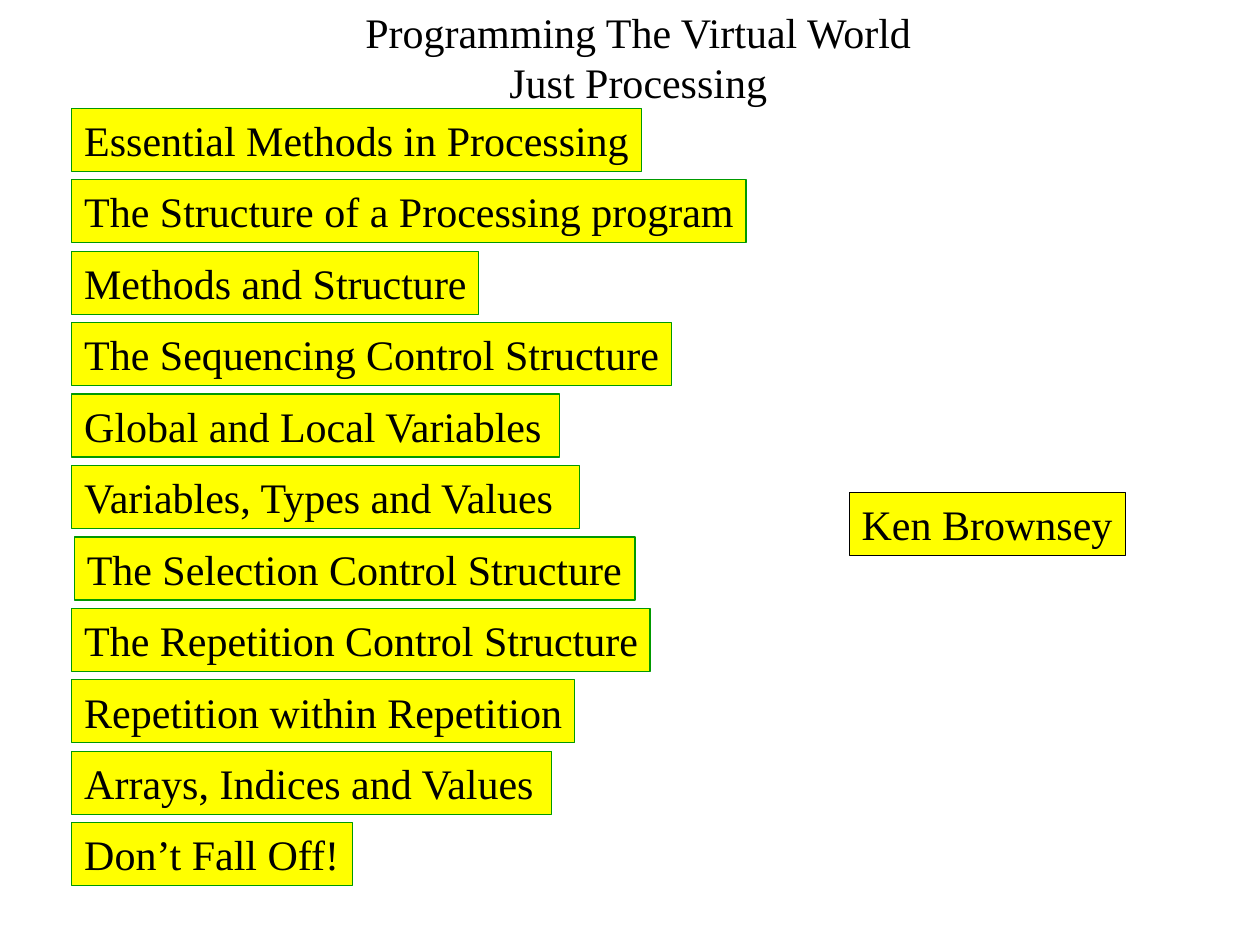
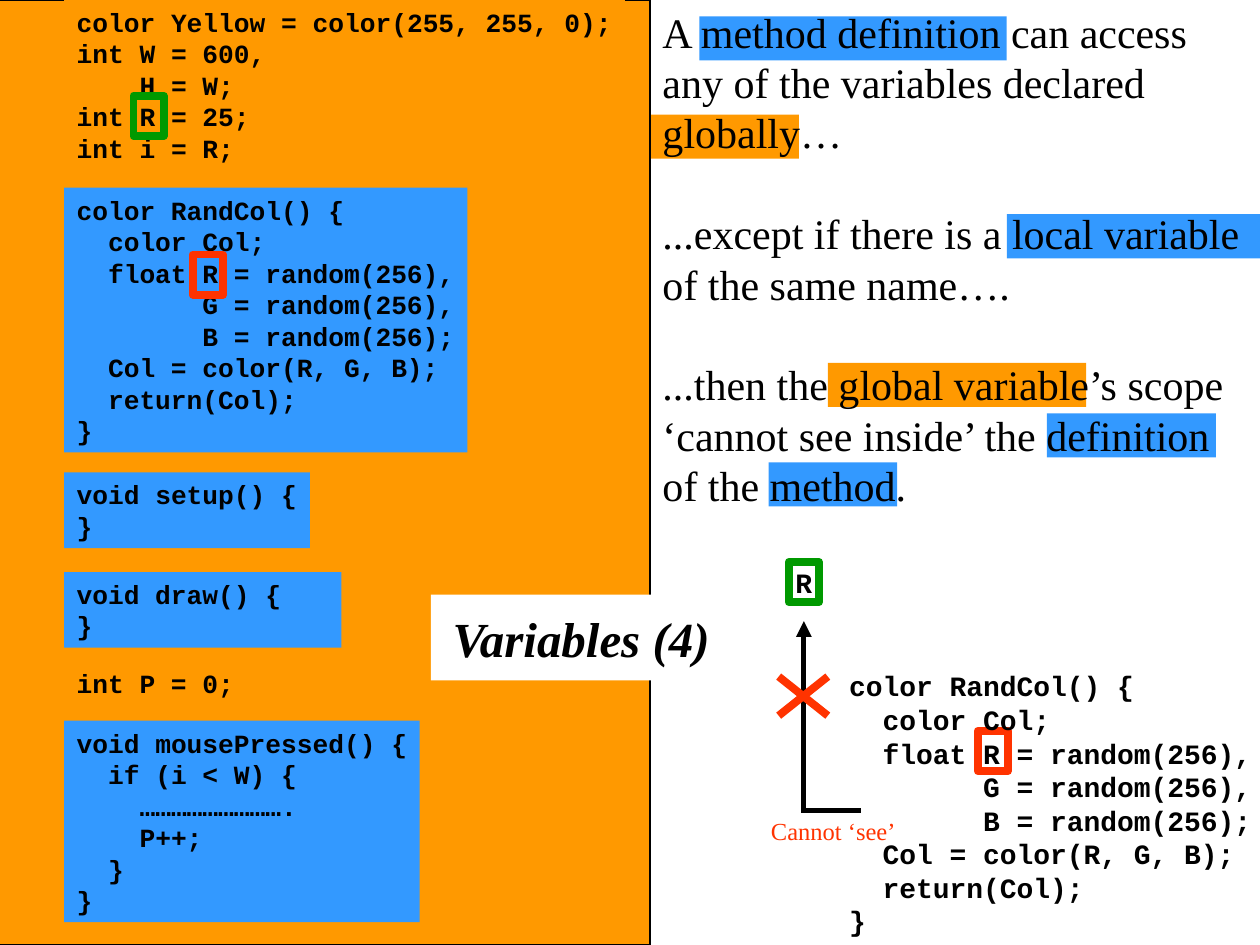
from lxml.etree import SubElement
from pptx import Presentation
from pptx.dml.color import RGBColor
from pptx.enum.shapes import MSO_CONNECTOR, MSO_SHAPE
from pptx.enum.text import MSO_ANCHOR, PP_ALIGN
from pptx.oxml.ns import qn
from pptx.util import Inches, Pt

INK = {"black": "000000", "white": "FFFFFF", "yellow": "FFFF00",
       "green": "009900", "red": "FF3300", "blue": "3399FF",
       "orange": "FF9900"}
SERIF, MONO = "Times New Roman", "Courier New"
PITCH = 1.2  # line pitch as a multiple of the font size

TOPICS = [
    ("Essential Methods in Processing", 4.52),
    ("The Structure of a Processing program", 5.35),
    ("Methods and Structure", 3.23),
    ("The Sequencing Control Structure", 4.76),
    ("Global and Local Variables", 3.87),
    ("Variables, Types and Values", 4.03),
    ("The Selection Control Structure", 4.45),
    ("The Repetition Control Structure", 4.59),
    ("Repetition within Repetition", 3.99),
    ("Arrays, Indices and Values", 3.81),
    ("Don’t Fall Off!", 2.23),
]

GLOBALS = """color Yellow = color(255, 255, 0);
int W = 600,
    H = W;
int R = 25;
int i = R;"""
RAND = """color RandCol() {
  color Col;
  float R = random(256),
        G = random(256),
        B = random(256);
  Col = color(R, G, B);
  return(Col);
}"""
SETUP = "void setup() {\n}"
DRAW = "void draw() {\n}"
MOUSE = """void mousePressed() {
  if (i < W) {
    ……………………….
    P++;
  }
}"""
NOTES = """A method definition can access any of the variables declared globally…
...except if there is a local variable of the same name….
...then the global variable’s scope ‘cannot see inside’ the definition of the method."""


def color(name):
    return RGBColor.from_string(INK[name])


def rect(slide, x, y, w, h, fill=None, line=None, width=0.75):
    box = slide.shapes.add_shape(MSO_SHAPE.RECTANGLE, Inches(x), Inches(y),
                                 Inches(w), Inches(h))
    box.shadow.inherit = False
    if fill:
        box.fill.solid()
        box.fill.fore_color.rgb = color(fill)
    else:
        box.fill.background()
    if line:
        box.line.color.rgb = color(line)
        box.line.width = Pt(width)
    else:
        box.line.fill.background()
    return box


def label(slide, x, y, w, h):
    return slide.shapes.add_textbox(Inches(x), Inches(y), Inches(w), Inches(h))


def write(box, text, size=24, font=SERIF, ink="black", bold=False,
          slant=False, align=PP_ALIGN.LEFT, mid=False, pad=0, gap=0):
    frame = box.text_frame
    frame.word_wrap = True
    frame.vertical_anchor = MSO_ANCHOR.MIDDLE if mid else MSO_ANCHOR.TOP
    frame.margin_left = Inches(0 if align == PP_ALIGN.CENTER else 0.1)
    frame.margin_right = Inches(pad)
    frame.margin_top = frame.margin_bottom = Inches(0.05)
    frame.text = text
    for i, para in enumerate(frame.paragraphs):
        para.alignment = align
        para.line_spacing = Pt(size * PITCH)
        if i and gap:
            para.space_before = Pt(gap)
        para.font.name, para.font.size = font, Pt(size)
        para.font.bold, para.font.italic = bold, slant
        para.font.color.rgb = color(ink)


def code(box, text, size=15, **more):
    write(box, text, size, MONO, bold=True, **more)


def rule(slide, x1, y1, x2, y2, ink="black", width=3, arrow=False):
    line = slide.shapes.add_connector(MSO_CONNECTOR.STRAIGHT, Inches(x1),
                                      Inches(y1), Inches(x2), Inches(y2))
    line.line.color.rgb = color(ink)
    line.line.width = Pt(width)
    if arrow:
        SubElement(line.line._get_or_add_ln(), qn("a:tailEnd"), type="triangle")
    SubElement(line._element.spPr, qn("a:effectLst"))


def frame_r(slide, x, y, ink):
    return rect(slide, x, y, 0.24, 0.32, line=ink, width=4.5)


def topics(slide, x, y, h):
    step = h / (len(TOPICS) - 1)
    for i, (text, w) in enumerate(TOPICS):
        shift = 0.02 if i == 6 else 0
        write(rect(slide, x + shift, y + i * step, w, 0.5, "yellow", "green"), text)


def listing(slide, x, y, w, h):
    # Global scope
    rect(slide, x, y, w, h, "orange", "black")
    left = x + 0.55
    code(rect(slide, left, y, 4.45, 7.35, "orange"), GLOBALS)
    code(label(slide, left, y + 5.25, 1.5, 0.35), "int P = 0;")
    # Method scopes
    for text, top, wide in [(RAND, 1.49, 3.2), (SETUP, 3.75, 1.95),
                            (DRAW, 4.54, 2.2), (MOUSE, 5.72, 2.82)]:
        high = 0.1 + 0.25 * len(text.split("\n"))
        code(rect(slide, left, y + top, wide, high, "blue"), text)
    # The two variables called R
    frame_r(slide, x + 1.1, y + 0.76, "green")
    frame_r(slide, x + 1.57, y + 2.02, "red")


def notes(slide, x, y, w, h):
    # Marks behind the key words
    for left, top, wide, fill in [
            (0.39, 0.13, 2.44, "blue"), (0, 0.91, 1.18, "orange"),
            (2.83, 1.7, 2.01, "blue"), (1.41, 2.88, 2.05, "orange"),
            (3.15, 3.28, 1.34, "blue"), (0.94, 3.67, 1.02, "blue")]:
        rect(slide, x + left, y + top, wide, 0.35, fill)
    write(label(slide, x, y, w, h), NOTES, pad=0.1, gap=24 * PITCH)


def sketch(slide, x, y):
    # Global R, and the method that hides it
    code(frame_r(slide, x + 0.24, y, "green"), "R", 16,
         align=PP_ALIGN.CENTER, mid=True)
    frame_r(slide, x + 1.74, y + 1.34, "red")
    code(label(slide, x + 0.62, y + 0.8, 3.39, 2.24), RAND, 16)
    # Blocked arrow
    rule(slide, x + 0.34, y + 1.97, x + 0.81, y + 1.97)
    rule(slide, x + 0.36, y + 1.97, x + 0.36, y + 0.47, arrow=True)
    for start, end in [(0.16, 0.55), (0.55, 0.16)]:
        rule(slide, x + start, y + 0.91, x + end, y + 1.22, "red", 4.5)
    write(label(slide, x, y + 1.97, 1.19, 0.34), "Cannot ‘see’", 14, ink="red")


def cover(slide):
    write(label(slide, 2.77, 0, 4.59, 0.9),
          "Programming The Virtual World\nJust Processing", align=PP_ALIGN.CENTER)
    topics(slide, 0.57, 0.86, 5.67)
    write(rect(slide, 6.74, 3.91, 2.19, 0.5, "yellow", "black"), "Ken Brownsey")


def scopes(slide):
    notes(slide, 5.16, 0, 4.84, 4.1)
    listing(slide, -0.04, 0, 5.2, 7.5)
    sketch(slide, 6.02, 4.46)
    # Title tag
    write(rect(slide, 3.42, 4.72, 2.31, 0.68, "white"), "Variables (4)", 28,
          bold=True, slant=True, align=PP_ALIGN.RIGHT, mid=True, pad=0.1)


def main():
    deck = Presentation()
    deck.slide_width, deck.slide_height = Inches(10), Inches(7.5)
    for build in (cover, scopes):
        build(deck.slides.add_slide(deck.slide_layouts[6]))
    deck.save("out.pptx")


if __name__ == "__main__":
    main()
